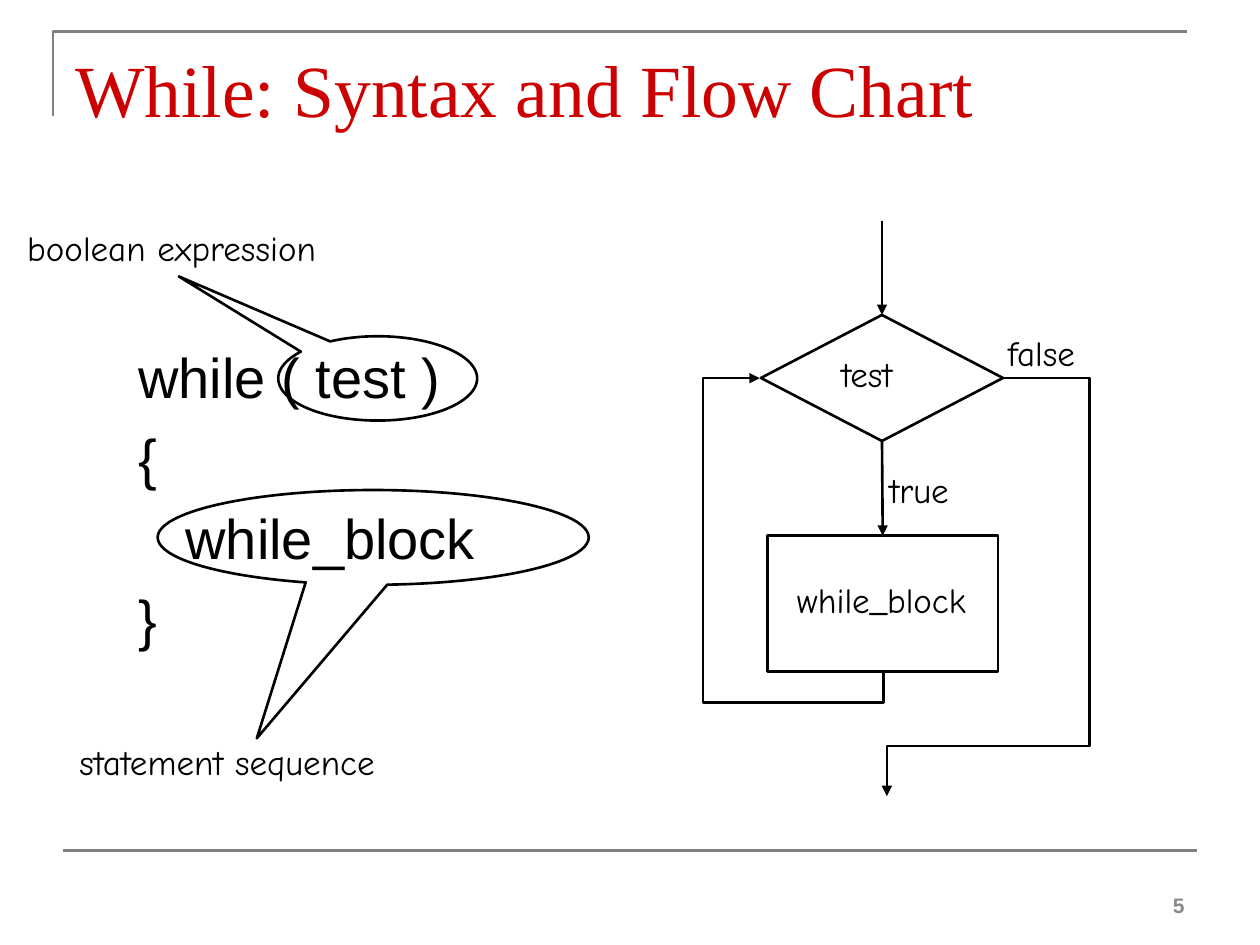
from pptx import Presentation
from pptx.dml.color import RGBColor
from pptx.enum.shapes import MSO_CONNECTOR as Link, MSO_SHAPE as Shape
from pptx.enum.text import MSO_ANCHOR as Anchor, MSO_AUTO_SIZE as Fit, PP_ALIGN as Align
from pptx.oxml.ns import qn
from pptx.util import Cm, Pt
from lxml.etree import SubElement

BLACK, GREY, RED = "000000", "808080", "CC0000"
HANGING = Cm(0.95)


def colour(code):
    return RGBColor.from_string(code)


class FlowSlide:
    """Holds the text styles and the slide being drawn."""

    styles = {
        "title": {"name": "Times New Roman", "size": Pt(42), "ink": RED},
        "code": {"name": "Arial", "size": Pt(32), "ink": BLACK},
        "label": {"name": "Comic Neue", "size": Pt(20), "ink": BLACK},
        "number": {"name": "Arial", "size": Pt(12), "bold": True, "ink": "898989"},
    }

    def __init__(self, slide):
        self.slide = slide
        self.shapes = slide.shapes

    def text(self, lines, box, style, align=Align.LEFT, **frame_format):
        frame = self.shapes.add_textbox(*map(Cm, box)).text_frame
        for key, value in {"word_wrap": True, **frame_format}.items():
            setattr(frame, key, value)
        for index, line in enumerate(lines):
            paragraph = frame.paragraphs[0] if index == 0 else frame.add_paragraph()
            paragraph.alignment = align
            run = paragraph.add_run()
            run.text = line
            for key, value in self.styles[style].items():
                if key == "ink":
                    run.font.color.rgb = colour(value)
                else:
                    setattr(run.font, key, value)
        return frame

    def label(self, words, left, top, width, align=Align.LEFT):
        self.text([words], (left, top, width, 1.09), "label", align,
                  word_wrap=False, auto_size=Fit.SHAPE_TO_FIT_TEXT)

    def stroke(self, item, ink=BLACK):
        item.line.color.rgb = colour(ink)
        item.line.width = Pt(1.5)

    def outline(self, kind, box, adjustments=()):
        shape = self.shapes.add_shape(kind, *map(Cm, box))
        shape.shadow.inherit = False
        shape.fill.background()
        self.stroke(shape)
        for index, value in enumerate(adjustments):
            shape.adjustments[index] = value
        return shape

    def corner(self, points, ink):
        start, *rest = [(Cm(x), Cm(y)) for x, y in points]
        builder = self.shapes.build_freeform(*start)
        builder.add_line_segments(rest, close=False)
        shape = builder.convert_to_shape()
        shape.shadow.inherit = False
        shape.fill.background()
        self.stroke(shape, ink)

    def line(self, start, end, ink=BLACK, arrow=True, kind=Link.STRAIGHT):
        link = self.shapes.add_connector(kind, *map(Cm, start + end))
        self.stroke(link, ink)
        if arrow:
            SubElement(link.line._get_or_add_ln(), qn("a:tailEnd"), type="triangle")
        SubElement(link._element.spPr, qn("a:effectLst"))
        return link

    def elbow(self, start, end, bends, turn=0):
        """Three-bend arrow; start and end are given before the turn in degrees."""
        link = self.line(start, end, kind=Link.ELBOW)
        properties = link._element.spPr
        properties.find(qn("a:xfrm")).set("rot", str(turn * 60000))
        geometry = properties.find(qn("a:prstGeom"))
        geometry.set("prst", "bentConnector4")
        guides = geometry.find(qn("a:avLst"))
        for number, bend in enumerate(bends, 1):
            SubElement(guides, qn("a:gd"), name=f"adj{number}",
                       fmla=f"val {round(bend * 100000)}")


def main():
    deck = Presentation()
    deck.slide_width, deck.slide_height = Cm(25.4), Cm(19.05)
    page = FlowSlide(deck.slides.add_slide(deck.slide_layouts[6]))

    # Page frame, title and number
    page.corner([(1.07, 2.34), (1.07, 0.64), (23.93, 0.64)], GREY)
    page.line((1.27, 17.15), (24.13, 17.15), GREY, arrow=False)
    page.text(["While: Syntax and Flow Chart"], (1.27, 0.76, 22.86, 3.18), "title")
    page.text(["5"], (18.21, 17.35, 5.92, 1.27), "number", Align.RIGHT,
              vertical_anchor=Anchor.BOTTOM)

    # Syntax
    syntax = page.text(["while ( test )", "{", "\twhile_block", "}"],
                       (2.54, 6.78, 10.36, 6.78), "code")
    for paragraph in syntax.paragraphs:
        paragraph.space_before = Pt(7.7)
        indents = paragraph._p.get_or_add_pPr()
        indents.set("marL", str(HANGING))
        indents.set("indent", str(-HANGING))

    # Callouts on the syntax
    page.outline(Shape.OVAL_CALLOUT, (5.61, 6.78, 4.01, 1.7), (-1, -1.21))
    page.label("boolean expression", 0.3, 4.45, 6.73)
    page.outline(Shape.OVAL_CALLOUT, (3.18, 9.88, 8.69, 1.91), (-0.27, 2.12))
    page.label("statement sequence", 1.35, 14.81, 7.09)

    # Flow chart steps
    test = page.outline(Shape.FLOWCHART_DECISION, (15.34, 6.35, 4.88, 2.54))
    block = page.outline(Shape.FLOWCHART_PROCESS, (15.47, 10.8, 4.65, 2.74))
    page.label("test", 16.71, 6.99, 1.9)
    page.label("false", 20.07, 6.55, 2.16)
    page.label("true", 17.68, 9.32, 1.93)
    page.label("while_block", 15.6, 11.53, 4.34, Align.CENTER)

    # Flow chart arrows: entry, true, loop back, false
    entry = page.line((17.78, 4.45), (17.78, 6.35))
    entry.end_connect(test, 0)
    true_branch = page.line((17.78, 8.89), (17.8, 10.8))
    true_branch.begin_connect(test, 2)
    true_branch.end_connect(block, 0)
    page.elbow((13.59, 11.84), (19.53, 9.35), (-0.1, 1.46), turn=270)
    page.elbow((20.24, 7.62), (17.88, 16.05), (-0.73, 0.88))

    deck.save("out.pptx")


if __name__ == "__main__":
    main()
